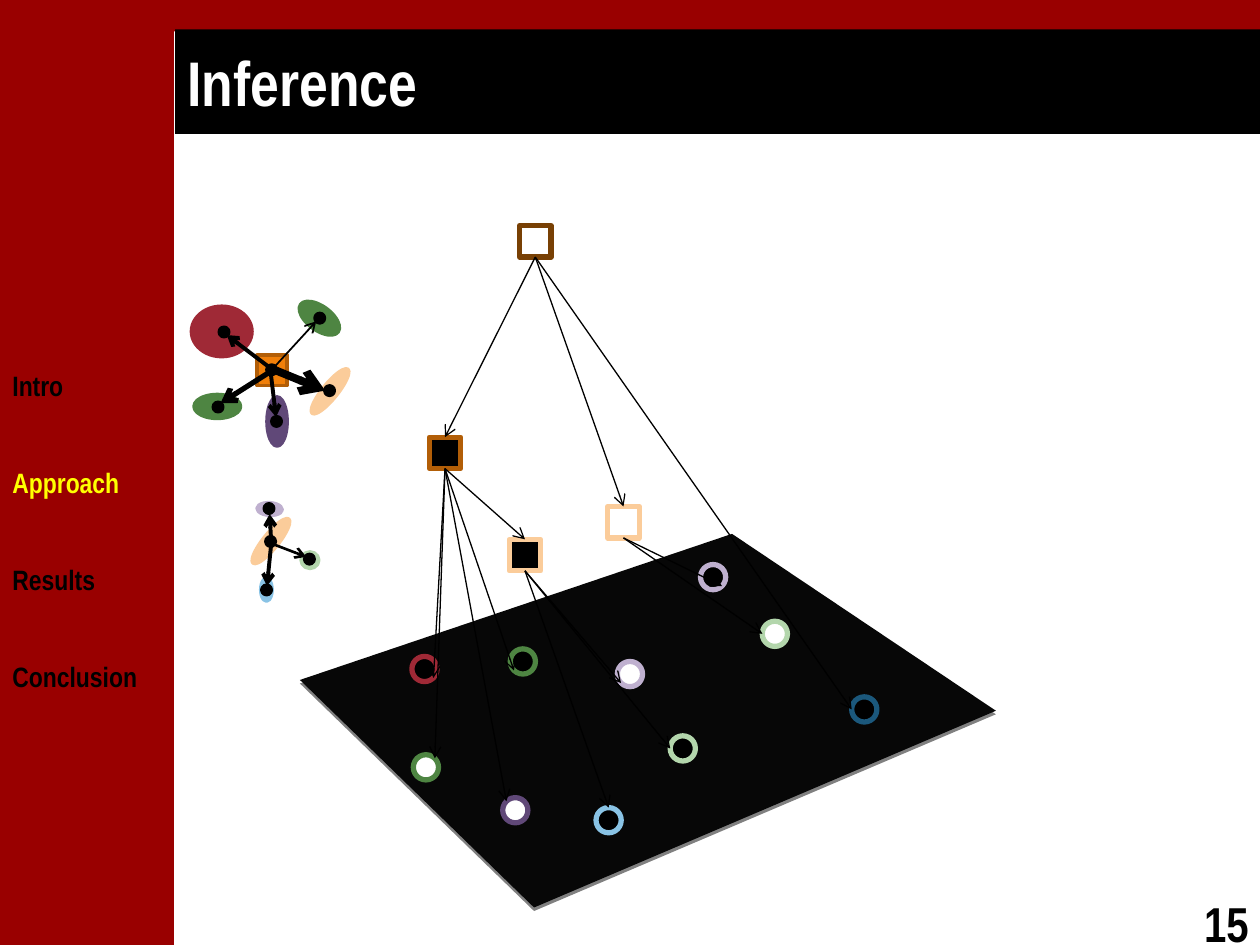
from dataclasses import dataclass

from lxml import etree
from pptx import Presentation
from pptx import util as u
from pptx.dml.color import RGBColor
from pptx.enum import shapes, text
from pptx.oxml.ns import qn

Pt = u.Pt


@dataclass(frozen=True)
class Theme:
    font: str = "Arial Narrow"
    title_size: float = 36
    number_size: float = 28
    menu_size: float = 16
    black: str = "000000"
    white: str = "FFFFFF"
    side: str = "990000"
    active: str = "FFFF00"
    plane: str = "070707"
    edge: str = "808080"
    red: str = "9F2936"
    navy: str = "1B587C"
    purple: str = "604878"
    sky: str = "89C3E5"
    mint: str = "B3D6AC"
    lilac: str = "BFB0CF"
    green: str = "4E8542"
    peach: str = "FBCC9A"
    orange: str = "F07F09"
    rust: str = "B25E07"
    brown: str = "784004"


def write(paragraph, content, *, font, size, color, before=0, bold=True):
    """Put formatted text into a paragraph."""
    run = paragraph.add_run()
    run.text = content
    run.font.name, run.font.size, run.font.bold = font, Pt(size), bold
    run.font.color.rgb = RGBColor.from_string(color)
    paragraph.alignment = text.PP_ALIGN.LEFT
    if before:
        paragraph.space_before = Pt(before)


class Board:
    """The slide being drawn, together with its style."""

    def __init__(self, slide, theme):
        self.slide, self.theme = slide, theme
        self.canvas = slide.shapes

    def start_group(self):
        self.canvas = self.slide.shapes.add_group_shape().shapes

    def end_group(self):
        self.canvas = self.slide.shapes

    def paint(self, shape, fill, line=None, width=2):
        shape.shadow.inherit = False
        shape.fill.solid()
        shape.fill.fore_color.rgb = RGBColor.from_string(fill)
        if line:
            shape.line.color.rgb = RGBColor.from_string(line)
            shape.line.width = Pt(width)
        else:
            shape.line.fill.background()
        return shape

    def rect(self, x, y, w, h, fill, line=None, width=2):
        kind = shapes.MSO_SHAPE.RECTANGLE
        shape = self.canvas.add_shape(kind, Pt(x), Pt(y), Pt(w), Pt(h))
        return self.paint(shape, fill, line, width)

    def ellipse(self, x, y, w, h, fill, line=None, width=2, turn=0):
        kind = shapes.MSO_SHAPE.OVAL
        shape = self.canvas.add_shape(kind, Pt(x), Pt(y), Pt(w), Pt(h))
        shape.rotation = turn
        return self.paint(shape, fill, line or fill, width)

    def dot(self, x, y, size=5.4):
        self.ellipse(x - size / 2, y - size / 2, size, size, self.theme.black)

    def polygon(self, corners, fill):
        start, *rest = [(Pt(x), Pt(y)) for x, y in corners]
        outline = self.canvas.build_freeform(*start)
        outline.add_line_segments(rest, close=True)
        return self.paint(outline.convert_to_shape(), fill)

    def arrow(self, start, end, width=0.75):
        link = self.canvas.add_connector(
            shapes.MSO_CONNECTOR.STRAIGHT, *map(Pt, (*start, *end)))
        link.line.color.rgb = RGBColor.from_string(self.theme.black)
        link.line.width = Pt(width)
        properties = link.element.spPr
        etree.SubElement(properties.find(qn("a:ln")), qn("a:tailEnd"), type="arrow")
        etree.SubElement(properties, qn("a:effectLst"))

    def label(self, x, y, w, h, items, size, gap=0, wrap=True):
        frame = self.canvas.add_textbox(Pt(x), Pt(y), Pt(w), Pt(h)).text_frame
        frame.word_wrap = wrap
        for i, (content, color) in enumerate(items):
            paragraph = frame.add_paragraph() if i else frame.paragraphs[0]
            write(paragraph, content, font=self.theme.font, size=size,
                  color=color, before=gap if i else 0)

    def title(self, x, y, w, h, content):
        t = self.theme
        frame = self.rect(x, y, w, h, t.black).text_frame
        frame.vertical_anchor = text.MSO_ANCHOR.MIDDLE
        write(frame.paragraphs[0], content, font=t.font, size=t.title_size, color=t.white)

    def model(self, blobs, links, dots, square=None):
        """A part model: coloured regions joined by weighted arrows."""
        self.start_group()
        if square:
            self.rect(*square)
        for x, y, w, h, color, turn in blobs:
            self.ellipse(x, y, w, h, color, turn=turn)
        for start, end, width in links:
            self.arrow(start, end, width)
        for center in dots:
            self.dot(*center)
        self.end_group()


def main():
    t = Theme()
    deck = Presentation()
    deck.slide_width, deck.slide_height = Pt(720), Pt(540)
    board = Board(deck.slides.add_slide(deck.slide_layouts[6]), t)

    # Frame and page number
    board.rect(0, 0, 99.4, 540, t.side)
    board.rect(0, 0, 720, 18, t.side)
    board.label(681, 507, 42.5, 41, [("15", t.black)], t.number_size, wrap=False)

    # Image plane with its lower edge
    plane = [(171.4, 388.6), (418.3, 305.1), (569.1, 406.2), (305.2, 518.6)]
    board.polygon([(x, y + 2) for x, y in plane], t.edge)
    board.polygon(plane, t.plane)

    # Leaves: centre, fill, line, and the side where the arrow lands
    ring = 14.4
    diagonal = 0.71
    leaves = {
        "red": (242.6, 382.3, t.black, t.red, (diagonal, diagonal)),
        "navy": (493.9, 405.4, t.black, t.navy, (-1, 0)),
        "purple": (294.5, 463, t.white, t.purple, (-diagonal, -diagonal)),
        "sky": (347.8, 468.7, t.black, t.sky, (0, -1)),
        "mint": (390.2, 427.7, t.black, t.mint, (-1, 0)),
        "lilac": (360, 385.2, t.white, t.lilac, (-diagonal, diagonal)),
        "green": (298.8, 378, t.black, t.green, (-diagonal, diagonal)),
        "low green": (243.4, 438.5, t.white, t.green, (diagonal, -diagonal)),
        "far mint": (442.8, 362.2, t.white, t.mint, (-1, 0)),
        "far lilac": (407.5, 329.8, t.black, t.lilac, (diagonal, diagonal)),
    }
    landing = {}
    for name, (x, y, fill, line, (dx, dy)) in leaves.items():
        board.ellipse(x - ring / 2, y - ring / 2, ring, ring, fill, line, 3)
        landing[name] = (x + dx * ring / 2, y + dy * ring / 2)

    # Inner nodes: centre, fill, line; arrows land on top, leave from below
    side = 18
    inner = {
        "root": (305.9, 137.9, t.white, t.brown),
        "object": (254.3, 258.8, t.black, t.rust),
        "part": (300, 317.2, t.black, t.peach),
        "other part": (356.3, 298.4, t.white, t.peach),
    }
    leaving = {}
    for name, (x, y, fill, line) in inner.items():
        board.rect(x - side / 2, y - side / 2, side, side, fill, line, 3)
        landing[name] = (x, y - side / 2)
        leaving[name] = (x, y + side / 2)

    # Tree links
    children = {
        "object": ("green", "red", "low green", "purple", "part"),
        "part": ("lilac", "mint", "sky"),
        "other part": ("far mint", "far lilac"),
        "root": ("navy", "other part", "object"),
    }
    for parent, names in children.items():
        for name in names:
            board.arrow(leaving[parent], landing[name])

    # Title
    board.title(100.1, 16.8, 619.9, 59.8, "Inference")

    # Object model
    board.model(
        square=(146.9, 203, 17.3, 17.3, t.orange, t.rust),
        blobs=[(110.9, 225.4, 26.6, 13.7, t.green, 0),
               (152.6, 226.8, 11.5, 28.1, t.purple, 0),
               (109.4, 175, 34.6, 28.8, t.red, 0),
               (169.2, 175, 26.6, 13.7, t.green, 36.3),
               (184.3, 207.4, 8.6, 32.4, t.peach, 39)],
        links=[((157.7, 211.7), (185.8, 223.2), 4.5),
               ((154.8, 213.8), (157.7, 238.3), 2.25),
               ((153.4, 213.1), (126, 230.4), 3),
               ((153.4, 209.5), (129.6, 191.5), 2.25),
               ((157, 209.5), (180.7, 183.6), 1)],
        dots=[(128, 189.7), (124.6, 232.6), (158, 240.8),
              (155.2, 211.3), (188.3, 223.2), (182.7, 181.8)])

    # Part model
    board.model(
        blobs=[(150.5, 293, 8.6, 32.4, t.peach, 39), (149, 330.5, 6.5, 13, t.sky, 0),
               (172.1, 315.4, 10.1, 9.4, t.mint, 0), (146.9, 287.3, 14.4, 7.2, t.lilac, 3.4)],
        links=[((154.8, 312.5), (152.6, 334.8), 2.25),
               ((156.2, 311), (175, 318.2), 1.5), ((154.8, 306.7), (154.1, 293.8), 2.25)],
        dots=[(154.6, 309.4), (153.7, 290.6), (176.8, 319.5), (152.3, 337.1)])

    # Section menu
    menu = [("Intro", t.black), ("Approach", t.active),
            ("Results", t.black), ("Conclusion", t.black)]
    board.label(0, 207, 97.2, 207, menu, t.menu_size, gap=36.2)

    deck.save("out.pptx")


if __name__ == "__main__":
    main()
